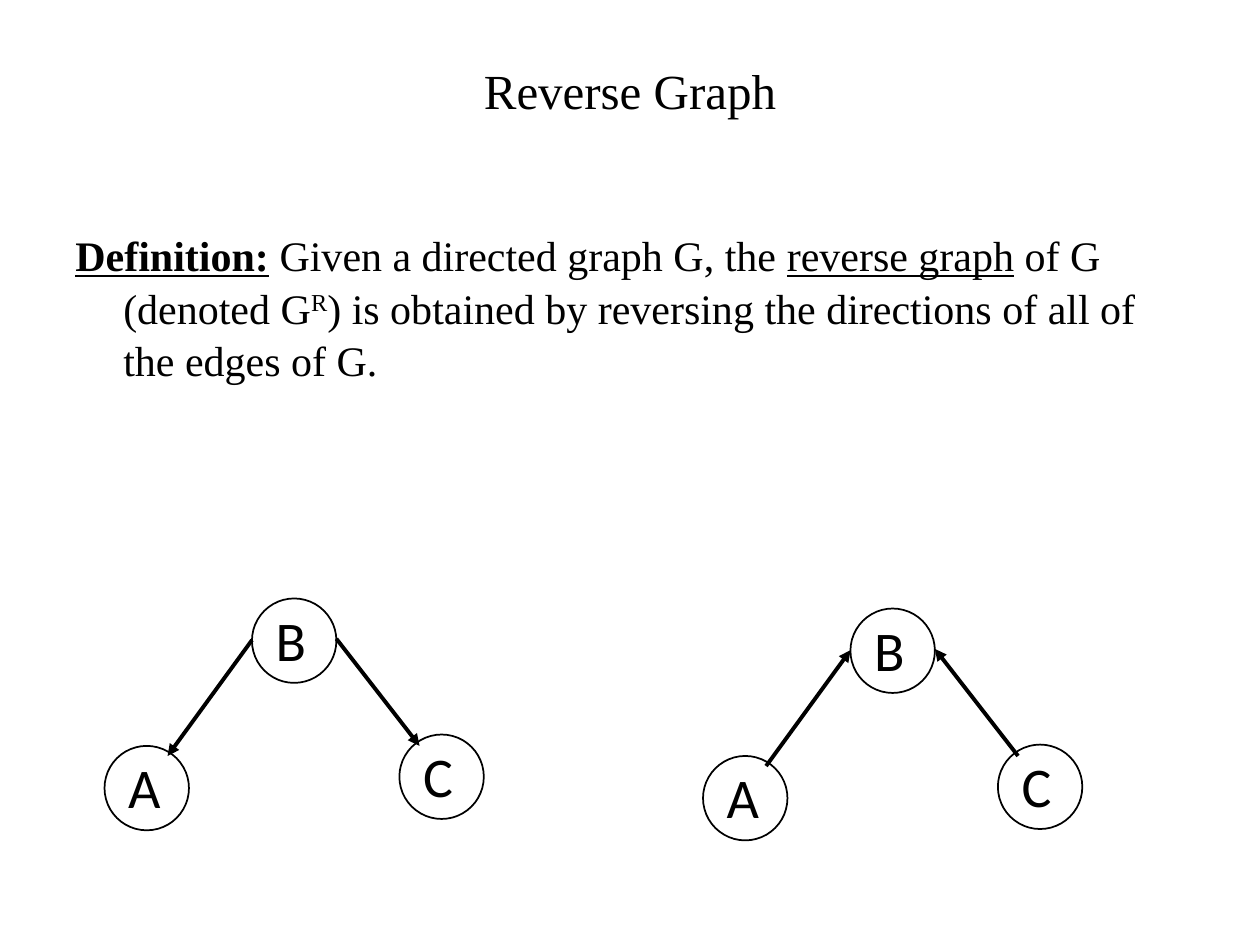
from lxml.etree import SubElement
from pptx import Presentation
from pptx.dml.color import RGBColor
from pptx.enum.shapes import MSO_CONNECTOR, MSO_SHAPE
from pptx.enum.text import MSO_ANCHOR as ANCHOR, PP_ALIGN as ALIGN
from pptx.oxml.ns import qn
from pptx.util import Inches, Pt

COLORS = {"ink": "000000"}
SERIF, SANS = "Times New Roman", "Calibri"
NODE_SIZE = 0.67
# Offsets in inches from the top left of a graph
NODES = {"A": (0, 1.17), "B": (1.17, 0), "C": (2.34, 1.08)}
EDGES = [((1.17, 0.33), (0.5, 1.25)), ((1.84, 0.32), (2.5, 1.17))]


def ink():
    return RGBColor.from_string(COLORS["ink"])


def add_run(p, text, font=SERIF, size=24, bold=False, underline=False, raised=0):
    """Add a run; raised is the superscript offset in percent."""
    r = p.add_run()
    r.text = text
    r.font.name, r.font.size = font, Pt(size)
    r.font.bold, r.font.underline = bold, underline
    r.font.color.rgb = ink()
    if raised:
        r._r.get_or_add_rPr().set("baseline", str(raised * 1000))


def add_textbox(slide, box, anchor=ANCHOR.TOP):
    tf = slide.shapes.add_textbox(*map(Inches, box)).text_frame
    tf.word_wrap = True
    tf.vertical_anchor = anchor
    return tf.paragraphs[0]


def add_title(slide, box, text):
    p = add_textbox(slide, box, ANCHOR.MIDDLE)
    p.alignment = ALIGN.CENTER
    add_run(p, text, size=28)


def add_definition(slide, box):
    p = add_textbox(slide, box)
    p.line_spacing = 1.05
    pPr = p._p.get_or_add_pPr()
    pPr.set("marL", str(Inches(0.38)))
    pPr.set("indent", str(Inches(-0.38)))
    add_run(p, "Definition:", bold=True, underline=True)
    add_run(p, " Given a directed graph G, the ")
    add_run(p, "reverse graph", underline=True)
    add_run(p, " of G (denoted G")
    add_run(p, "R", raised=30)
    add_run(p, ") is obtained by reversing the directions of all of the edges of G.")


def add_node(slide, x, y, name):
    sp = slide.shapes.add_shape(
        MSO_SHAPE.OVAL, *map(Inches, (x, y, NODE_SIZE, NODE_SIZE)))
    sp.shadow.inherit = False
    sp.fill.background()
    sp.line.color.rgb = ink()
    sp.line.width = Pt(1)
    tf = sp.text_frame
    tf.margin_left, tf.margin_bottom = Inches(0.09), Inches(0.03)
    tf.margin_right = tf.margin_top = 0
    tf.vertical_anchor = ANCHOR.MIDDLE
    p = tf.paragraphs[0]
    p.alignment = ALIGN.LEFT
    add_run(p, name, font=SANS, size=32)


def add_arrow(slide, start, end):
    line = slide.shapes.add_connector(
        MSO_CONNECTOR.STRAIGHT, *map(Inches, (*start, *end)))
    line.line.color.rgb = ink()
    line.line.width = Pt(2.25)
    SubElement(line.line._get_or_add_ln(), qn("a:tailEnd"), type="triangle")
    SubElement(line._element.spPr, qn("a:effectLst"))


def add_graph(slide, left, top, reverse=False):
    for name, (dx, dy) in NODES.items():
        add_node(slide, left + dx, top + dy, name)
    for edge in EDGES:
        start, end = [(left + dx, top + dy) for dx, dy in edge]
        if reverse:
            start, end = end, start
        add_arrow(slide, start, end)


def main():
    prs = Presentation()
    prs.slide_width, prs.slide_height = Inches(10), Inches(7.5)
    slide = prs.slides.add_slide(prs.slide_layouts[6])
    add_title(slide, (0.75, 0.42, 8.5, 0.58), "Reverse Graph")
    add_definition(slide, (0.5, 1.75, 9.08, 2.5))
    add_graph(slide, 0.83, 4.75)
    add_graph(slide, 5.58, 4.83, reverse=True)
    prs.save("out.pptx")


if __name__ == "__main__":
    main()
